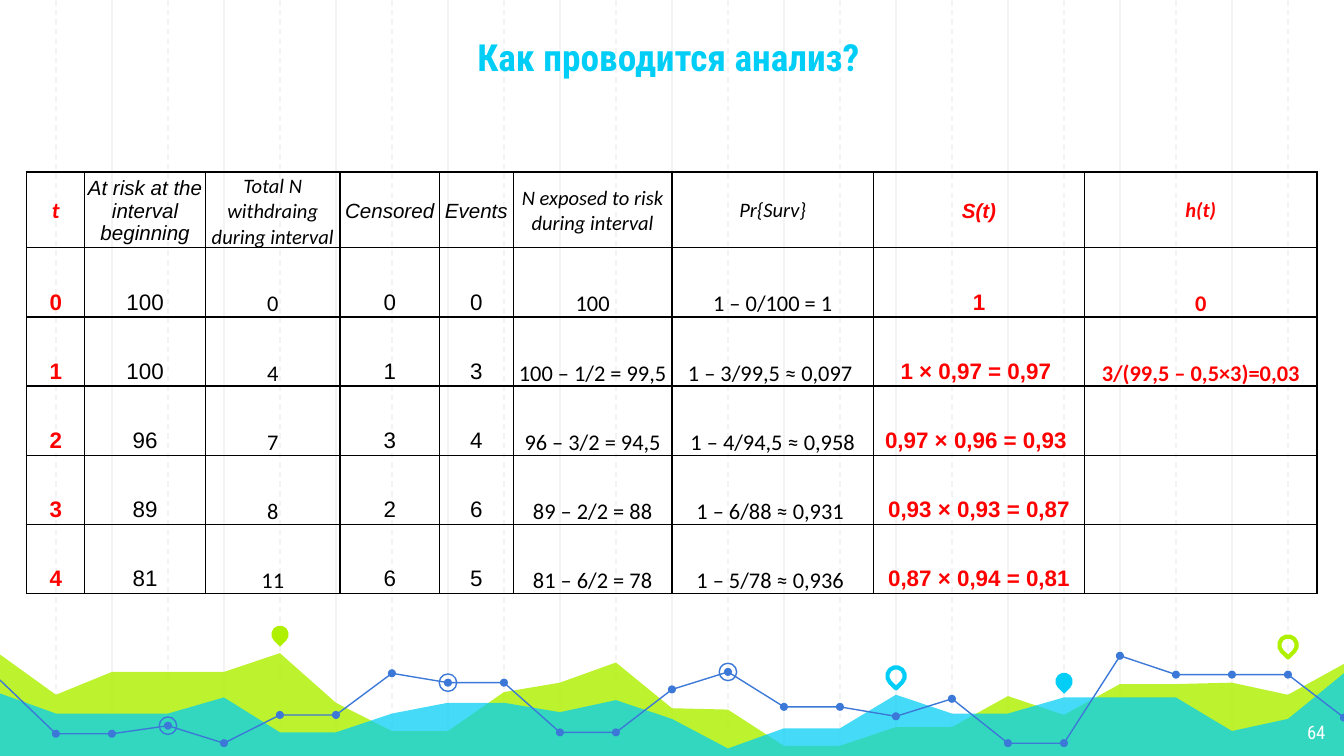
import dataclasses

import lxml.etree
import pptx
import pptx.dml.color
import pptx.enum.dml
import pptx.enum.shapes
import pptx.enum.text
import pptx.oxml.ns
import pptx.util

Inches = pptx.util.Inches
Pt = pptx.util.Pt
SHAPE = pptx.enum.shapes.MSO_SHAPE
ALIGN = pptx.enum.text.PP_ALIGN
ANCHOR = pptx.enum.text.MSO_ANCHOR
qn = pptx.oxml.ns.qn


@dataclasses.dataclass(frozen=True)
class Theme:
    lime: str = "AFF000"
    cyan: str = "00CEF6"
    blue: str = "3C78D8"
    pale: str = "F3F3F3"
    red: str = "FF0000"
    black: str = "000000"
    white: str = "FFFFFF"
    brand: str = "Roboto Condensed"
    sans: str = "Arial"
    text: str = "Calibri"
    title: int = 20
    body: int = 12
    head: int = 11
    small: int = 10
    thin: float = 0.75
    thick: float = 2.25


THEME = Theme()
STEPS = 24

LIME = [.78, .48, .65, .65, .65, .79, .42, .21, .21, .50, .57, .72, .38,
        .37, .10, .10, .24, .24, .47, .33, .56, .56, .57, .48, .71]
CYAN = [.49, .34, .34, .34, .46, .20, .20, .34, .42, .42, .35, .44, .30,
        .08, .23, .23, .48, .34, .34, .46, .46, .46, .21, .30, .64]
TREND = [.59, .19, .19, .25, .12, .33, .33, .64, .57, .57, .20, .20, .52,
         .65, .39, .39, .32, .45, .12, .12, .77, .63, .63, .63, .31]
SPANS = [(0, 11), (11, 20), (20, 24)]
RINGS = [8, 3, 13]
# step, height above the base, colour, solid
PINS = [(5, .93, THEME.lime, True), (16, .62, THEME.cyan, False),
        (19, .58, THEME.cyan, True), (23, .85, THEME.lime, False)]

WIDTHS = [.43, .9, 1, .74, .55, 1.18, 1.5, 1.57, 1.73]
HEIGHTS = [.5] + [.28] * 5
REDS = {0, 7, 8}
ARIALS = {0, 1, 3, 4, 7}
ROWS = [
    ["t", "At risk at the interval beginning", "Total N withdraing during interval",
     "Censored", "Events", "N exposed to risk\nduring interval", "Pr{Surv}", "S(t)", "h(t)"],
    ["0", "100", "0", "0", "0", "100", "1 – 0/100 = 1", "1", "0"],
    ["1", "100", "4", "1", "3", "100 – 1/2 = 99,5", "1 – 3/99,5 ≈ 0,097 ",
     "1 × 0,97 = 0,97 ", "3/(99,5 – 0,5×3)=0,03"],
    ["2", "96", "7", "3", "4", "96 – 3/2 = 94,5", "1 – 4/94,5 ≈ 0,958",
     "0,97 × 0,96 = 0,93 ", ""],
    ["3", "89", "8", "2", "6", "89 – 2/2 = 88", "1 – 6/88 ≈ 0,931 ",
     "0,93 × 0,93 = 0,87", ""],
    ["4", "81", "11", "6", "5", "81 – 6/2 = 78", "1 – 5/78 ≈ 0,936 ",
     "0,87 × 0,94 = 0,81", ""],
]


def tint(code):
    return pptx.dml.color.RGBColor.from_string(code)


def write(frame, words, font=THEME.brand, size=THEME.body, color=THEME.black,
          bold=False, slant=False, align=ALIGN.CENTER, space=None):
    """Fill a text frame, one paragraph for each line of words."""
    for n, line in enumerate(words.split("\n")):
        para = frame.add_paragraph() if n else frame.paragraphs[0]
        para.alignment = align
        para.line_spacing = space
        run = para.add_run()
        run.text = line
        run.font.name = font
        run.font.size = Pt(size)
        run.font.bold = bold
        run.font.italic = slant
        run.font.color.rgb = tint(color)


def pad(frame, anchor):
    frame.word_wrap = True
    frame.vertical_anchor = anchor
    frame.margin_left = frame.margin_right = Inches(.1)
    frame.margin_top = frame.margin_bottom = Inches(.1)


def paint(shape, fill=None, line=None, width=THEME.thin, alpha=None):
    shape.shadow.inherit = False
    if fill:
        shape.fill.solid()
        shape.fill.fore_color.rgb = tint(fill)
    else:
        shape.fill.background()
    if line:
        shape.line.color.rgb = tint(line)
        shape.line.width = Pt(width)
    else:
        shape.line.fill.background()
    if alpha:
        color = shape.fill._xPr.find(".//" + qn("a:srgbClr"))
        lxml.etree.SubElement(color, qn("a:alpha"), val=str(alpha * 1000))


def spot(slide, kind, x, y, size):
    """Add a shape centred on a point."""
    return slide.shapes.add_shape(kind, Inches(x - size / 2), Inches(y - size / 2),
                                  Inches(size), Inches(size))


def trace(slide, points, close):
    points = [(Inches(x), Inches(y)) for x, y in points]
    pen = slide.shapes.build_freeform(*points[0], scale=1.0)
    pen.add_line_segments(points[1:], close=close)
    return pen.convert_to_shape()


def add_grid(slide, box):
    left, top, width, height = box
    solid, dashed = range(2, STEPS, 2), range(1, STEPS, 2)
    for n in [*solid, *dashed]:
        x = Inches(left + n * width / STEPS)
        rule = slide.shapes.add_connector(pptx.enum.shapes.MSO_CONNECTOR.STRAIGHT,
                                          x, Inches(top), x, Inches(top + height))
        rule.line.color.rgb = tint(THEME.pale)
        rule.line.width = Pt(THEME.thin)
        if n % 2:
            rule.line.dash_style = pptx.enum.dml.MSO_LINE.DASH
        lxml.etree.SubElement(rule._element.spPr, qn("a:effectLst"))


def add_waves(slide, box):
    """Draw the two areas, the trend line and its markers above the box's base."""
    left, top, width, height = box
    base = top + height

    def place(n, rise):
        return left + n * width / STEPS, base - rise

    def add_pins(pins):
        for n, rise, color, solid in pins:
            pin = spot(slide, SHAPE.TEAR, *place(n, rise), .13)
            pin.rotation = 135
            if solid:
                paint(pin, fill=color)
            else:
                paint(pin, line=color, width=THEME.thick)

    for rises, color, alpha in [(LIME, THEME.lime, 82), (CYAN, THEME.cyan, 73)]:
        edge = [place(n, rise) for n, rise in enumerate(rises)]
        area = trace(slide, edge + [(left + width, base), (left, base)], True)
        paint(area, fill=color, alpha=alpha)
    add_pins(PINS)
    spots = [place(n, rise) for n, rise in enumerate(TREND)]
    for start, end in SPANS:
        paint(trace(slide, spots[start:end + 1], False), line=THEME.blue)
    for point in spots[1:]:
        paint(spot(slide, SHAPE.OVAL, *point, .06), fill=THEME.blue)
    for n in RINGS:
        paint(spot(slide, SHAPE.OVAL, *spots[n], .13), line=THEME.blue)


def add_title(slide, box, words):
    title = slide.shapes.title
    title.left, title.top, title.width, title.height = map(Inches, box)
    pad(title.text_frame, ANCHOR.BOTTOM)
    write(title.text_frame, words, size=THEME.title, color=THEME.cyan, bold=True)
    slide.shapes._spTree.append(title._element)


def add_number(slide, box, words):
    frame = slide.shapes.add_textbox(*map(Inches, box)).text_frame
    pad(frame, ANCHOR.TOP)
    write(frame, words, size=THEME.small, color=THEME.white, align=ALIGN.RIGHT)


def frame_cell(cell):
    """Give a cell black borders, no fill and tight margins."""
    props = cell._tc.get_or_add_tcPr()
    for side in ("a:lnL", "a:lnR", "a:lnT", "a:lnB"):
        line = lxml.etree.SubElement(props, qn(side), w=str(Pt(THEME.thin)))
        fill = lxml.etree.SubElement(line, qn("a:solidFill"))
        lxml.etree.SubElement(fill, qn("a:srgbClr"), val=THEME.black)
    cell.fill.background()
    cell.vertical_anchor = ANCHOR.MIDDLE
    cell.margin_left = cell.margin_right = cell.margin_top = Pt(1)
    cell.margin_bottom = 0


def add_life(slide, box):
    """Add the life table."""
    table = slide.shapes.add_table(len(ROWS), len(WIDTHS), *map(Inches, box)).table
    table.first_row = table.horz_banding = False
    for col, width in zip(table.columns, WIDTHS):
        col.width = Inches(width)
    for r, (row, words) in enumerate(zip(table.rows, ROWS)):
        row.height = Inches(HEIGHTS[r])
        head = r == 0
        for c, (cell, word) in enumerate(zip(row.cells, words)):
            frame_cell(cell)
            if not word:
                continue
            key = head and c == 0
            write(cell.text_frame, word,
                  font=THEME.sans if c in ARIALS and not key else THEME.text,
                  size=THEME.head if head and not key else THEME.body,
                  color=THEME.red if c in REDS else THEME.black,
                  bold=c in REDS, slant=head, space=None if head else 2.5)


def main():
    deck = pptx.Presentation()
    deck.slide_width, deck.slide_height = Inches(10), Inches(10 * 9 / 16)
    slide = deck.slides.add_slide(deck.slide_layouts[5])
    add_grid(slide, (0, 0, 10, 5.65))
    add_waves(slide, (0, 4.65, 10, 1))
    add_title(slide, (1.15, .06, 7.65, .63), "Как проводится анализ?")
    add_number(slide, (9.36, 5.28, .6, .35), "64")
    add_life(slide, (.2, 1.28, sum(WIDTHS), sum(HEIGHTS)))
    deck.save("out.pptx")


if __name__ == "__main__":
    main()
